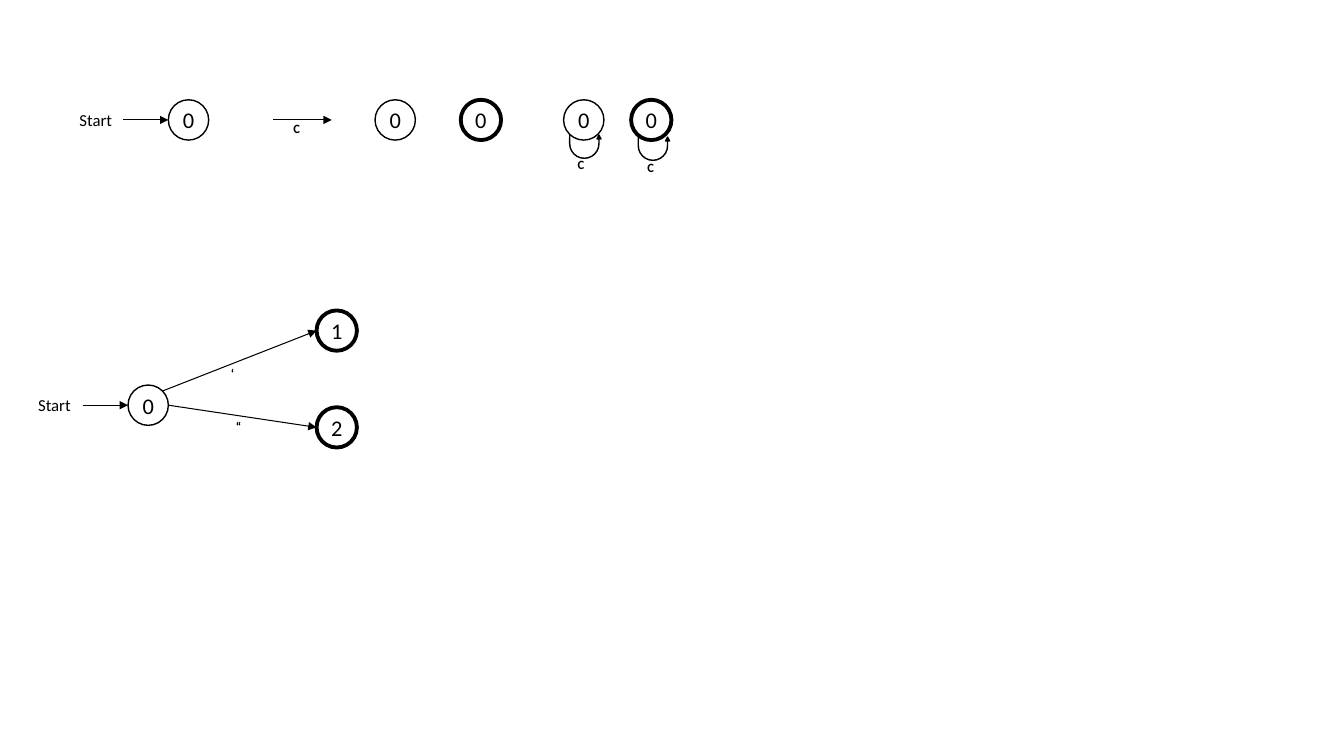
import lxml.etree
import pptx
import pptx.util
import pptx.dml.color
import pptx.enum.shapes
import pptx.enum.text
import pptx.oxml.ns
from pptx.util import Inches

BLACK = pptx.dml.color.RGBColor(0, 0, 0)
FONT = "Calibri"
DIAMETER = 0.4
THIN, BOLD = 1, 2.75
LOOP_ADJUSTMENTS = (0, 0.085, 0.164, 0.717, 1)

STATES = [
    ("0", 1.67, 0.99, THIN),
    ("0", 3.72, 0.99, THIN),
    ("0", 4.57, 0.99, BOLD),
    ("0", 5.59, 0.99, THIN),
    ("0", 6.26, 0.99, BOLD),
    ("0", 1.27, 3.82, THIN),
    ("1", 3.14, 3.08, BOLD),
    ("2", 3.14, 4.04, BOLD),
]
LOOPS = [(5.65, 1.34), (6.33, 1.36)]
ARROWS = [
    (1.22, 1.19, 1.67, 1.19),
    (2.71, 1.19, 3.29, 1.19),
    (0.82, 4.02, 1.27, 4.02),
    (1.61, 3.88, 3.14, 3.28),
    (1.67, 4.02, 3.14, 4.24),
]
STARTS = [(0.69, 1.04), (0.28, 3.87)]
SYMBOLS = [
    ("C", 2.86, 1.15),
    ("C", 5.68, 1.51),
    ("C", 6.37, 1.54),
    ("\u2018", 2.24, 3.58),
    ("\u201c", 2.29, 4.11),
]

deck = pptx.Presentation()
deck.slide_width, deck.slide_height = Inches(13.33), Inches(7.5)
page = deck.slides.add_slide(deck.slide_layouts[6])


def write(shape, text, size, bold=False, inset=0.0):
    frame = shape.text_frame
    frame.text = text
    frame.word_wrap = False
    frame.margin_left = frame.margin_right = Inches(inset)
    font = frame.paragraphs[0].runs[0].font
    font.name, font.size, font.bold = FONT, pptx.util.Pt(size), bold
    font.color.rgb = BLACK
    return frame


def outline(shape, width):
    shape.line.color.rgb = BLACK
    shape.line.width = pptx.util.Pt(width)


def add_state(text, left, top, width):
    state = page.shapes.add_shape(
        pptx.enum.shapes.MSO_SHAPE.OVAL,
        Inches(left), Inches(top), Inches(DIAMETER), Inches(DIAMETER))
    state.shadow.inherit = False
    state.fill.background()
    outline(state, width)
    frame = write(state, text, 16)
    frame.vertical_anchor = pptx.enum.text.MSO_ANCHOR.MIDDLE
    frame.paragraphs[0].alignment = pptx.enum.text.PP_ALIGN.CENTER


def add_loop(left, top):
    loop = page.shapes.add_shape(
        pptx.enum.shapes.MSO_SHAPE.U_TURN_ARROW,
        Inches(left), Inches(top), Inches(0.31), Inches(0.23))
    for index, value in enumerate(LOOP_ADJUSTMENTS):
        loop.adjustments[index] = value
    loop.rotation = 180
    loop.element.spPr.find(pptx.oxml.ns.qn("a:xfrm")).set("flipH", "1")
    loop.shadow.inherit = False
    loop.fill.solid()
    loop.fill.fore_color.rgb = BLACK
    outline(loop, THIN)


def add_arrow(*ends):
    arrow = page.shapes.add_connector(
        pptx.enum.shapes.MSO_CONNECTOR.STRAIGHT, *map(Inches, ends))
    outline(arrow, 0.75)
    properties = arrow.element.spPr
    stroke = properties.find(pptx.oxml.ns.qn("a:ln"))
    lxml.etree.SubElement(
        stroke, pptx.oxml.ns.qn("a:tailEnd"), type="triangle")
    lxml.etree.SubElement(properties, pptx.oxml.ns.qn("a:effectLst"))


def add_label(text, left, top, width, height, size, bold, inset):
    box = page.shapes.add_textbox(
        Inches(left), Inches(top), Inches(width), Inches(height))
    write(box, text, size, bold, inset)


for state in STATES:
    add_state(*state)
for loop in LOOPS:
    add_loop(*loop)
for arrow in ARROWS:
    add_arrow(*arrow)
for left, top in STARTS:
    add_label("Start", left, top, 0.53, 0.3, 12, False, 0.1)
for text, left, top in SYMBOLS:
    add_label(text, left, top, 0.16, 0.25, 9, True, 0.05)

deck.save("out.pptx")
